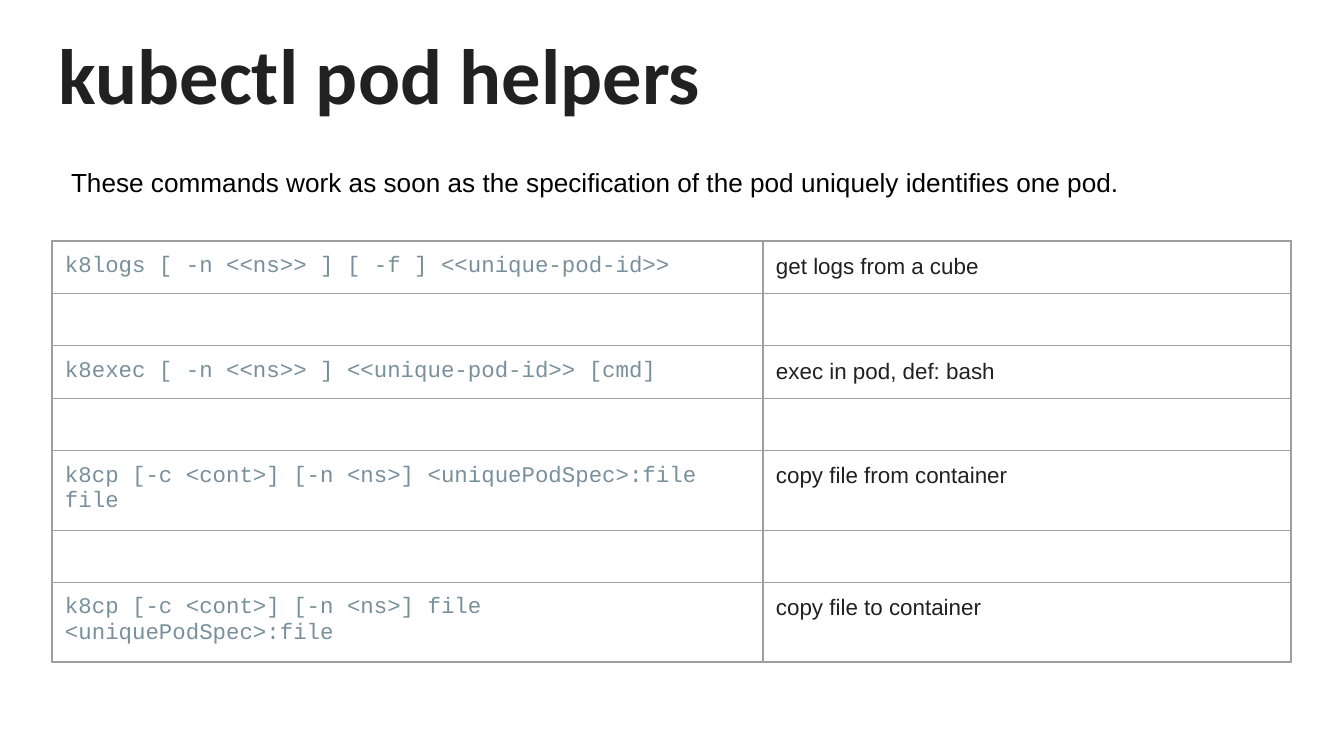
from lxml import etree
from pptx import Presentation
from pptx import util as u
from pptx.dml.color import RGBColor
from pptx.enum import text
from pptx.oxml import ns

EMU_PER_PX = 9144000 / 1344
INK = RGBColor(0x21, 0x21, 0x21)
BLACK = RGBColor(0, 0, 0)
CODE = RGBColor(0x78, 0x90, 0x9C)
BORDER = RGBColor(0x9E, 0x9E, 0x9E)
INSET = 13
SHORT_ROW, TALL_ROW = 52, 78
COLUMN_WIDTHS = (711, 528)

COMMANDS = [
    ("k8logs [ -n <<ns>> ] [ -f ] <<unique-pod-id>>", "get logs from a cube", SHORT_ROW),
    ("k8exec [ -n <<ns>> ] <<unique-pod-id>> [cmd]", "exec in pod, def: bash", SHORT_ROW),
    ("k8cp [-c <cont>] [-n <ns>] <uniquePodSpec>:file file", "copy file from container", TALL_ROW),
    ("k8cp [-c <cont>] [-n <ns>] file <uniquePodSpec>:file", "copy file to container", TALL_ROW),
]


def px(length):
    return u.Emu(round(length * EMU_PER_PX))


def set_insets(holder):
    for side in ("left", "top", "right", "bottom"):
        setattr(holder, f"margin_{side}", px(INSET))


def style_paragraph(paragraph, size, name, color, bold=False):
    font = paragraph.font
    font.size, font.name, font.bold = u.Pt(size), name, bold
    font.color.rgb = color


def add_text(slide, box, words, anchor, **style):
    shape = slide.shapes.add_textbox(*map(px, box))
    frame = shape.text_frame
    frame.word_wrap = True
    frame.vertical_anchor = anchor
    set_insets(frame)
    frame.text = words
    style_paragraph(frame.paragraphs[0], **style)


def add_borders(cell):
    properties = cell._tc.get_or_add_tcPr()
    for position, side in enumerate(("lnL", "lnR", "lnT", "lnB")):
        line = etree.Element(ns.qn(f"a:{side}"), w=str(u.Pt(0.75)))
        fill = etree.SubElement(line, ns.qn("a:solidFill"))
        etree.SubElement(fill, ns.qn("a:srgbClr"), val=str(BORDER))
        properties.insert(position, line)


def add_command_table(slide, left, top):
    rows = []
    for command in COMMANDS:
        if rows:
            rows.append(("", "", SHORT_ROW))
        rows.append(command)
    height = sum(row[-1] for row in rows)
    box = (left, top, sum(COLUMN_WIDTHS), height)
    table = slide.shapes.add_table(len(rows), len(COLUMN_WIDTHS), *map(px, box)).table
    table.first_row = table.horz_banding = False
    for column, width in zip(table.columns, COLUMN_WIDTHS):
        column.width = px(width)
    for row, (command, meaning, row_height) in zip(table.rows, rows):
        row.height = px(row_height)
        columns = ((command, "Courier New", CODE), (meaning, "Arial", INK))
        for cell, (words, name, color) in zip(row.cells, columns):
            cell.fill.background()
            add_borders(cell)
            if words:
                set_insets(cell)
                cell.text = words
            style_paragraph(cell.text_frame.paragraphs[0], 12, name, color)


def main():
    presentation = Presentation()
    presentation.slide_width, presentation.slide_height = px(1344), px(756)
    slide = presentation.slides.add_slide(presentation.slide_layouts[6])
    add_text(slide, (46, 13, 1253, 118), "kubectl pod helpers", text.MSO_ANCHOR.TOP,
             size=42, name="Calibri", color=INK, bold=True)
    add_command_table(slide, 52, 241)
    add_text(slide, (58, 153, 1241, 59),
             "These commands work as soon as the specification of the pod uniquely identifies one pod.",
             text.MSO_ANCHOR.TOP, size=14, name="Arial", color=BLACK)
    presentation.save("out.pptx")


if __name__ == "__main__":
    main()
